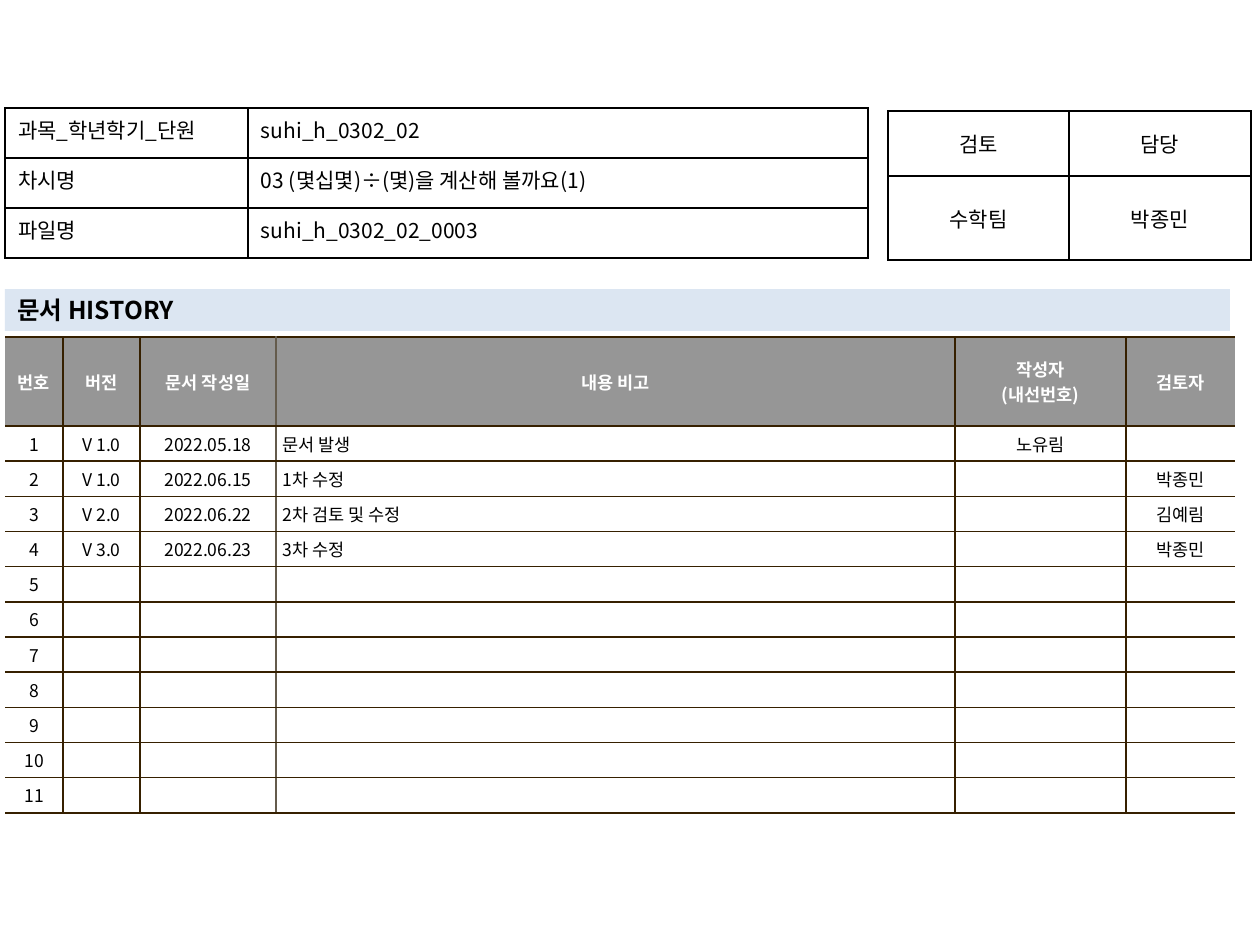
from dataclasses import dataclass

from lxml import etree
from pptx import Presentation
from pptx import util as u
from pptx.dml.color import RGBColor
from pptx.enum import shapes, text
from pptx.oxml.ns import qn

SCALE = 914400 // 126
CENTER, LEFT = text.PP_ALIGN.CENTER, text.PP_ALIGN.LEFT
MIDDLE, TOP = text.MSO_ANCHOR.MIDDLE, text.MSO_ANCHOR.TOP


@dataclass(frozen=True)
class Theme:
    """Colours, font and type sizes of the slide."""
    font: str = "Noto Sans CJK KR"
    ink: str = "000000"
    paper: str = "FFFFFF"
    header: str = "969696"
    band: str = "DCE6F2"
    rule: str = "362000"
    soft_rule: str = "645B4C"
    title: int = 14
    info: int = 12
    history: int = 10


T = Theme()

INFO = [
    ("과목_학년학기_단원", "suhi_h_0302_02"),
    ("차시명", "03 (몇십몇)÷(몇)을 계산해 볼까요(1)"),
    ("파일명", "suhi_h_0302_02_0003"),
]
REVIEW = [("검토", "담당"), ("수학팀", "박종민")]
HEADINGS = ("번호", "버전", "문서 작성일", "내용 비고", "작성자\n(내선번호)", "검토자")
REVISIONS = [
    ("V 1.0", "2022.05.18", "문서 발생", "노유림", ""),
    ("V 1.0", "2022.06.15", "1차 수정", "", "박종민"),
    ("V 2.0", "2022.06.22", "2차 검토 및 수정", "", "김예림"),
    ("V 3.0", "2022.06.23", "3차 수정", "", "박종민"),
]
HISTORY_ROWS = 11
NOTE_COLUMN = 3


def px(n):
    """Turn pixels into EMU."""
    return u.Emu(n * SCALE)


def write(tf, content, size, color, align, bold=False):
    """Fill a text frame, one paragraph per line."""
    tf.text = content
    for p in tf.paragraphs:
        p.alignment = align
        p.font.size = u.Pt(size)
        p.font.bold = bold
        p.font.name = T.font
        p.font.color.rgb = RGBColor.from_string(color)
        etree.SubElement(p.font._element, qn("a:ea"), typeface=T.font)
        if not p.runs:
            etree.SubElement(p._p, qn("a:endParaRPr"), sz=str(size * 100))


def set_borders(cell, colors):
    """Draw left, right, top and bottom cell borders; None leaves a side open."""
    tc_pr = cell._tc.get_or_add_tcPr()
    for i, (side, color) in enumerate(zip("LRTB", colors)):
        ln = etree.Element(qn(f"a:ln{side}"), w=str(u.Pt(1)))
        if color:
            fill = etree.SubElement(ln, qn("a:solidFill"))
            etree.SubElement(fill, qn("a:srgbClr"), val=color)
        else:
            etree.SubElement(ln, qn("a:noFill"))
        tc_pr.insert(i, ln)


def set_cell(cell, content, size, color=T.ink, align=CENTER, anchor=MIDDLE,
             fill=None, bold=False, margins=(13, 6), borders=(T.ink,) * 4):
    """Write and format one table cell."""
    cell.margin_left = cell.margin_right = px(margins[0])
    cell.margin_top = cell.margin_bottom = px(margins[1])
    cell.vertical_anchor = anchor
    write(cell.text_frame, content, size, color, align, bold)
    if fill:
        cell.fill.solid()
        cell.fill.fore_color.rgb = RGBColor.from_string(fill)
    else:
        cell.fill.background()
    set_borders(cell, borders)


def add_grid(slide, left, top, widths, heights):
    """Add an unstyled table with the given column widths and row heights."""
    table = slide.shapes.add_table(len(heights), len(widths), px(left), px(top),
                                   px(sum(widths)), px(sum(heights))).table
    table.first_row = table.horz_banding = False
    for column, width in zip(table.columns, widths):
        column.width = px(width)
    for row, height in zip(table.rows, heights):
        row.height = px(height)
    return table


def add_plain_table(slide, left, top, widths, heights, rows, align, anchor):
    """Add a black-ruled table of plain text."""
    table = add_grid(slide, left, top, widths, heights)
    for r, row in enumerate(rows):
        for c, content in enumerate(row):
            set_cell(table.cell(r, c), content, T.info, align=align, anchor=anchor)


def add_history(slide):
    """Add the revision history table, open at its left and right edges."""
    widths = (58, 77, 136, 679, 171, 109)
    table = add_grid(slide, 5, 337, widths, [89] + [35] * HISTORY_ROWS)
    blanks = [("",) * len(REVISIONS[0])] * (HISTORY_ROWS - len(REVISIONS))
    body = [(str(n), *row) for n, row in enumerate(REVISIONS + blanks, 1)]
    edges = [None] + [T.rule] * (len(widths) - 1) + [None]
    edges[NOTE_COLUMN] = T.soft_rule
    for r, row in enumerate([HEADINGS] + body):
        head = r == 0
        for c, content in enumerate(row):
            set_cell(table.cell(r, c), content, T.history,
                     color=T.paper if head else T.ink,
                     fill=T.header if head else T.paper,
                     align=LEFT if c == NOTE_COLUMN and not head else CENTER,
                     bold=head, margins=(7, 5),
                     borders=(edges[c], edges[c + 1], T.rule, T.rule))


def add_title_band(slide, content):
    """Add the tinted heading band."""
    sp = slide.shapes.add_shape(shapes.MSO_SHAPE.RECTANGLE,
                                px(5), px(289), px(1225), px(42))
    sp.shadow.inherit = False
    sp.fill.solid()
    sp.fill.fore_color.rgb = RGBColor.from_string(T.band)
    sp.line.fill.background()
    write(sp.text_frame, content, T.title, T.ink, LEFT, bold=True)


def main():
    """Build and save the document history slide."""
    prs = Presentation()
    prs.slide_width, prs.slide_height = px(1260), px(945)
    slide = prs.slides.add_slide(prs.slide_layouts[6])
    add_history(slide)
    add_plain_table(slide, 888, 111, (181, 182), (65, 84), REVIEW, CENTER, MIDDLE)
    add_title_band(slide, "문서 HISTORY")
    add_plain_table(slide, 5, 108, (243, 620), (50,) * 3, INFO, LEFT, TOP)
    prs.save("out.pptx")


if __name__ == "__main__":
    main()
